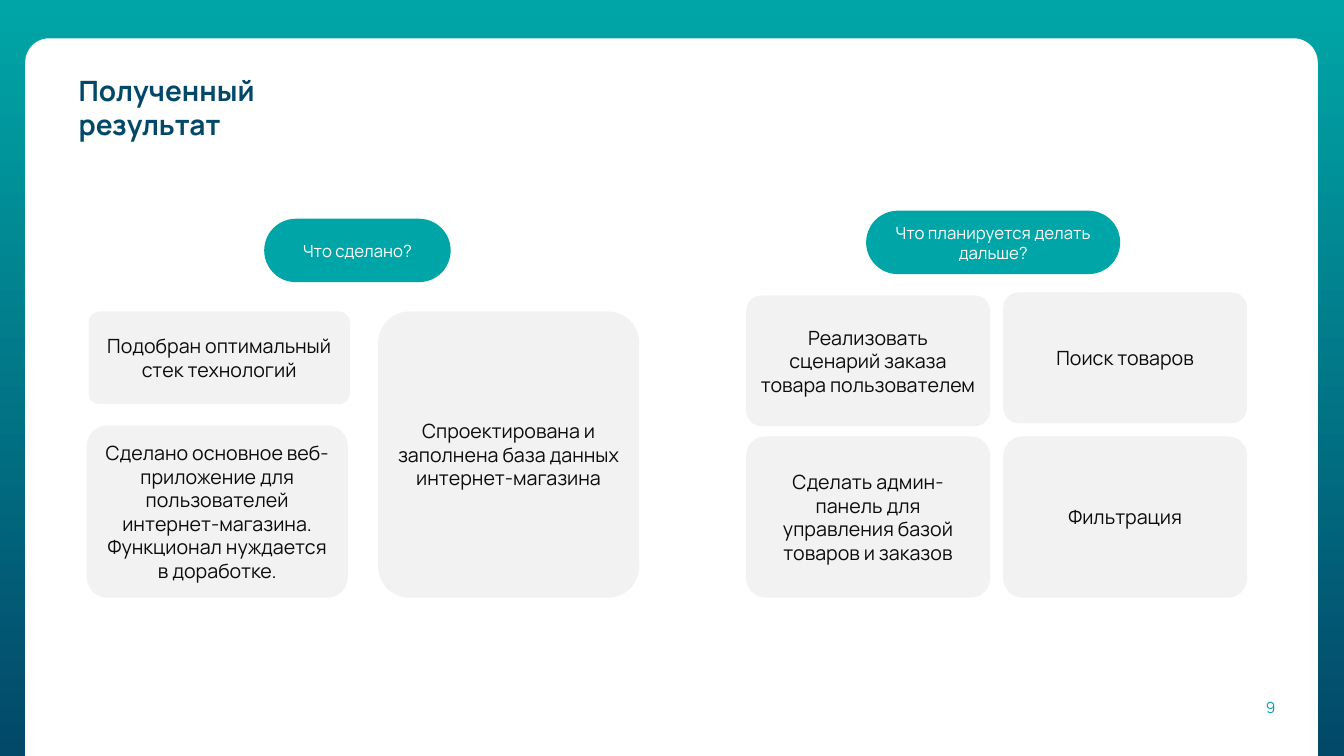
import dataclasses

import pptx
import pptx.dml.color
import pptx.enum.shapes
import pptx.enum.text
import pptx.util

Inches = pptx.util.Inches
Align = pptx.enum.text.PP_ALIGN
Anchor = pptx.enum.text.MSO_ANCHOR


@dataclasses.dataclass(frozen=True)
class Theme:
    font: str = "Manrope"
    teal: str = "00A6A7"
    navy: str = "024869"
    white: str = "FFFFFF"
    card: str = "F2F2F2"
    ink: str = "0C0C0C"
    title_size: int = 20
    card_size: int = 14
    pill_size: int = 12
    number_size: int = 11


class SlideBuilder:
    def __init__(self, prs, theme):
        self.theme = theme
        self.s = prs.slides.add_slide(prs.slide_layouts[5])

    def rgb(self, color):
        return pptx.dml.color.RGBColor.from_string(color)

    def background(self):
        fill = self.s.background.fill
        fill.gradient()
        fill.gradient_angle = 270
        for stop, color, position in zip(
            fill.gradient_stops, (self.theme.teal, self.theme.navy), (0, 1)
        ):
            stop.color.rgb = self.rgb(color)
            stop.position = position

    def add_text(self, sp, text, size, color, align, anchor, bold=False):
        tf = sp.text_frame
        tf.word_wrap = True
        tf.auto_size = pptx.enum.text.MSO_AUTO_SIZE.NONE
        tf.vertical_anchor = anchor
        p = tf.paragraphs[0]
        p.alignment = align
        r = p.add_run()
        r.text = text
        r.font.name = self.theme.font
        r.font.size = pptx.util.Pt(size)
        r.font.bold = bold
        r.font.color.rgb = self.rgb(color)

    def rounded(self, x, y, w, h, radius, color):
        sp = self.s.shapes.add_shape(
            pptx.enum.shapes.MSO_SHAPE.ROUNDED_RECTANGLE,
            Inches(x), Inches(y), Inches(w), Inches(h),
        )
        sp.adjustments[0] = radius
        sp.shadow.inherit = False
        sp.fill.solid()
        sp.fill.fore_color.rgb = self.rgb(color)
        sp.line.fill.background()
        return sp

    def panel(self, x, y, w, h):
        sp = self.rounded(x, y, w, h, 0.03, self.theme.white)
        self.s.shapes.title.element.addprevious(sp.element)

    def title(self, text, x, y, w, h):
        sp = self.s.shapes.title
        sp.left, sp.top, sp.width, sp.height = map(Inches, (x, y, w, h))
        self.add_text(sp, text, self.theme.title_size, self.theme.navy,
                      Align.LEFT, Anchor.TOP, bold=True)

    def number(self, text, x, y, w, h):
        sp = self.s.shapes.add_textbox(Inches(x), Inches(y), Inches(w), Inches(h))
        self.add_text(sp, text, self.theme.number_size, self.theme.teal,
                      Align.RIGHT, Anchor.MIDDLE)

    def pill(self, text, x, y, w, h=0.63):
        sp = self.rounded(x, y, w, h, 0.5, self.theme.teal)
        self.add_text(sp, text, self.theme.pill_size, self.theme.white,
                      Align.CENTER, Anchor.MIDDLE)

    def card(self, text, x, y, w, h):
        sp = self.rounded(x, y, w, h, 0.12, self.theme.card)
        self.add_text(sp, text, self.theme.card_size, self.theme.ink,
                      Align.CENTER, Anchor.MIDDLE)


def main():
    prs = pptx.Presentation()
    prs.slide_width = Inches(13.33)
    prs.slide_height = Inches(7.5)

    slide = SlideBuilder(prs, Theme())
    slide.background()
    slide.panel(0.25, 0.38, 12.82, 7.99)
    slide.title("Полученный результат", 0.68, 0.68, 3.3, 0.44)
    slide.number("9", 9.75, 6.82, 3, 0.4)

    done_width = 2.59
    done_cards = [
        ("Подобран оптимальный стек технологий", 0.88, 3.09, 0.92),
        ("Сделано основное веб-приложение для пользователей "
         "интернет-магазина. Функционал нуждается в доработке.", 0.86, 4.22, 1.71),
        ("Спроектирована и заполнена база данных интернет-магазина",
         3.75, 3.09, 2.84),
    ]
    slide.pill("Что сделано?", 2.62, 2.17, 1.85)
    for text, x, y, h in done_cards:
        slide.card(text, x, y, done_width, h)

    plan_width, plan_bottom_y = 2.42, 4.33
    plan_columns = [
        (7.4, 2.93, "Реализовать сценарий заказа товара пользователем",
         "Сделать админ-панель для управления базой товаров и заказов"),
        (9.95, 2.9, "Поиск товаров", "Фильтрация"),
    ]
    slide.pill("Что планируется делать дальше?", 8.59, 2.09, 2.52)
    for x, top_y, top_text, bottom_text in plan_columns:
        slide.card(top_text, x, top_y, plan_width, 1.3)
        slide.card(bottom_text, x, plan_bottom_y, plan_width, 1.6)

    prs.save("out.pptx")


if __name__ == "__main__":
    main()
